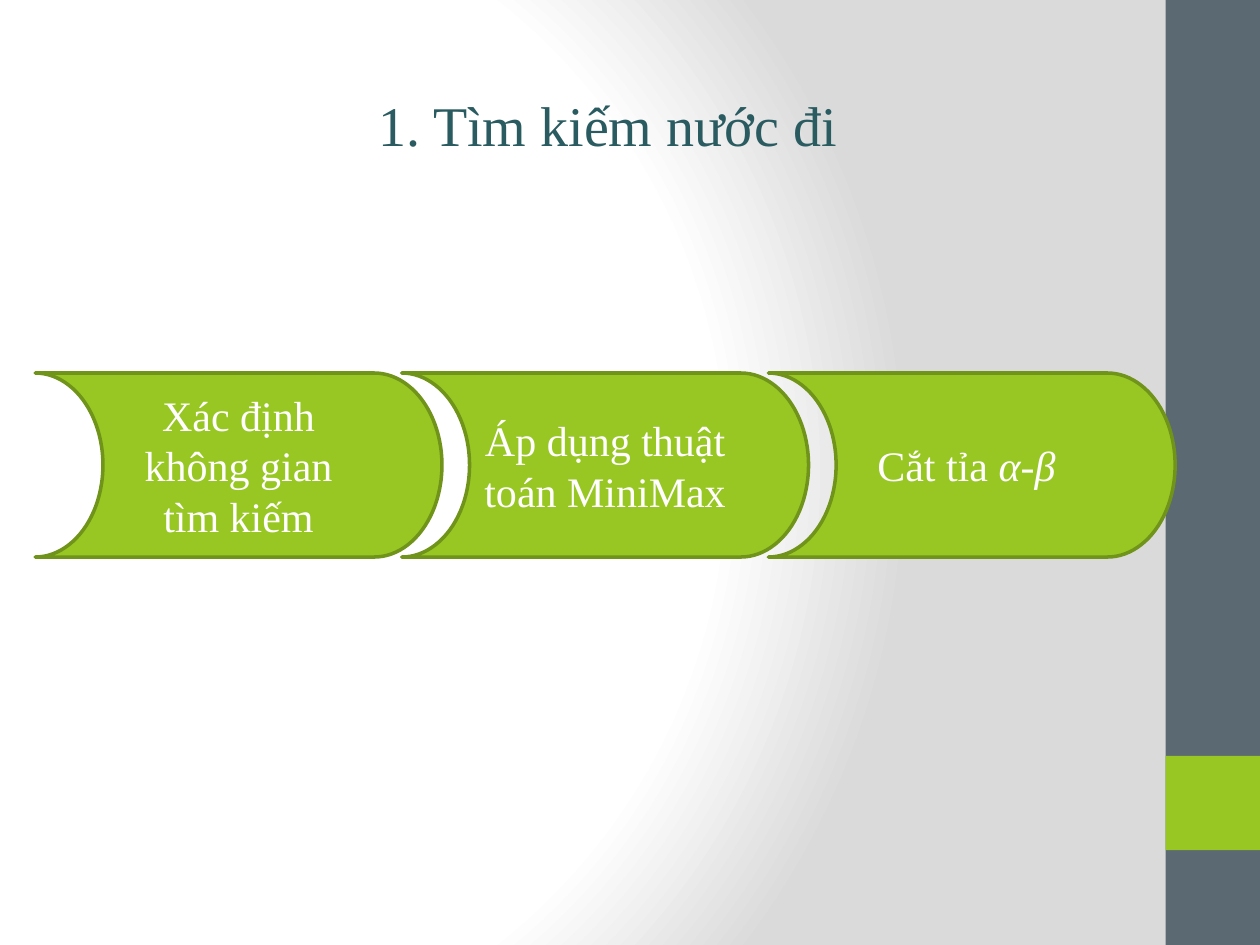
from pptx import Presentation
from pptx import util as u
from pptx.dml.color import RGBColor
from pptx.enum import shapes, text
from pptx.oxml import parse_xml
from pptx.oxml.ns import nsdecls

# Content: each step is a list of (words, italic) runs
TITLE = [("1. Tìm kiếm nước đi", False)]
STEPS = [
    [("Xác định không gian tìm kiếm", False)],
    [("Áp dụng thuật toán MiniMax", False)],
    [("Cắt tỉa ", False), ("α-β ", True)],
]

# Colours and text formats
SLATE = RGBColor(0x5B, 0x69, 0x73)
GREEN = RGBColor(0x98, 0xC7, 0x23)
DARK_GREEN = RGBColor(0x70, 0x93, 0x1A)
TEAL = RGBColor(0x29, 0x5B, 0x60)
WHITE = RGBColor(0xFF, 0xFF, 0xFF)
SILVER = RGBColor(0xDA, 0xDA, 0xDA)
BACKDROP = [(0, WHITE), (75, WHITE), (100, SILVER)]
TITLE_FONT = {"name": "Times New Roman", "size": u.Pt(32)}
STEP_FONT = {"name": "Times New Roman", "size": u.Pt(24)}

# Layout
SLIDE_W, SLIDE_H = u.Cm(25.4), u.Cm(19.05)
BAND_W = u.Cm(1.9)
BAND_X = SLIDE_W - BAND_W
ACCENT_Y = u.Cm(15.24)
STEP_X, STEP_Y = u.Cm(0.71), u.Cm(7.52)
STEP_W, STEP_H = u.Cm(8.2), u.Cm(3.71)
STEP_PITCH = u.Cm(7.39)


def set_backdrop(slide):
    stops = "".join(
        f'<a:gs pos="{pos * 1000}"><a:srgbClr val="{colour}"/></a:gs>'
        for pos, colour in BACKDROP)
    slide.element.cSld.insert(0, parse_xml(
        f'<p:bg {nsdecls("p", "a")}><p:bgPr><a:gradFill rotWithShape="1">'
        f'<a:gsLst>{stops}</a:gsLst><a:path path="circle">'
        '<a:fillToRect l="20000" t="50000" r="100000" b="50000"/></a:path>'
        '</a:gradFill><a:effectLst/></p:bgPr></p:bg>'))


def add_filled(slide, kind, box, fill):
    shape = slide.shapes.add_shape(kind, *box)
    shape.shadow.inherit = False
    shape.fill.solid()
    shape.fill.fore_color.rgb = fill
    shape.line.fill.background()
    return shape


def write(frame, runs, font, colour):
    frame.word_wrap = True
    paragraph = frame.paragraphs[0]
    paragraph.alignment = text.PP_ALIGN.CENTER
    for words, italic in runs:
        run = paragraph.add_run()
        run.text = words
        for key, value in font.items():
            setattr(run.font, key, value)
        run.font.color.rgb = colour
        if italic:
            run.font.italic = True


def main():
    deck = Presentation()
    deck.slide_width, deck.slide_height = SLIDE_W, SLIDE_H
    slide = deck.slides.add_slide(deck.slide_layouts[6])
    set_backdrop(slide)

    # Side band with its accent square
    rectangle = shapes.MSO_SHAPE.RECTANGLE
    add_filled(slide, rectangle, (BAND_X, 0, BAND_W, SLIDE_H), SLATE)
    add_filled(slide, rectangle, (BAND_X, ACCENT_Y, BAND_W, BAND_W), GREEN)

    # Title
    title = slide.shapes.add_textbox(
        u.Cm(6.96), u.Cm(1.7), u.Cm(10.59), u.Cm(1.63))
    write(title.text_frame, TITLE, TITLE_FONT, TEAL)

    # Chain of steps, mirrored to point right
    for i, runs in enumerate(STEPS):
        box = (STEP_X + i * STEP_PITCH, STEP_Y, STEP_W, STEP_H)
        step = add_filled(
            slide, shapes.MSO_SHAPE.FLOWCHART_STORED_DATA, box, GREEN)
        step.element.spPr.xfrm.set("flipH", "1")
        step.line.color.rgb = DARK_GREEN
        step.line.width = u.Pt(2)
        step.text_frame.vertical_anchor = text.MSO_ANCHOR.MIDDLE
        write(step.text_frame, runs, STEP_FONT, WHITE)

    deck.save("out.pptx")


if __name__ == "__main__":
    main()
